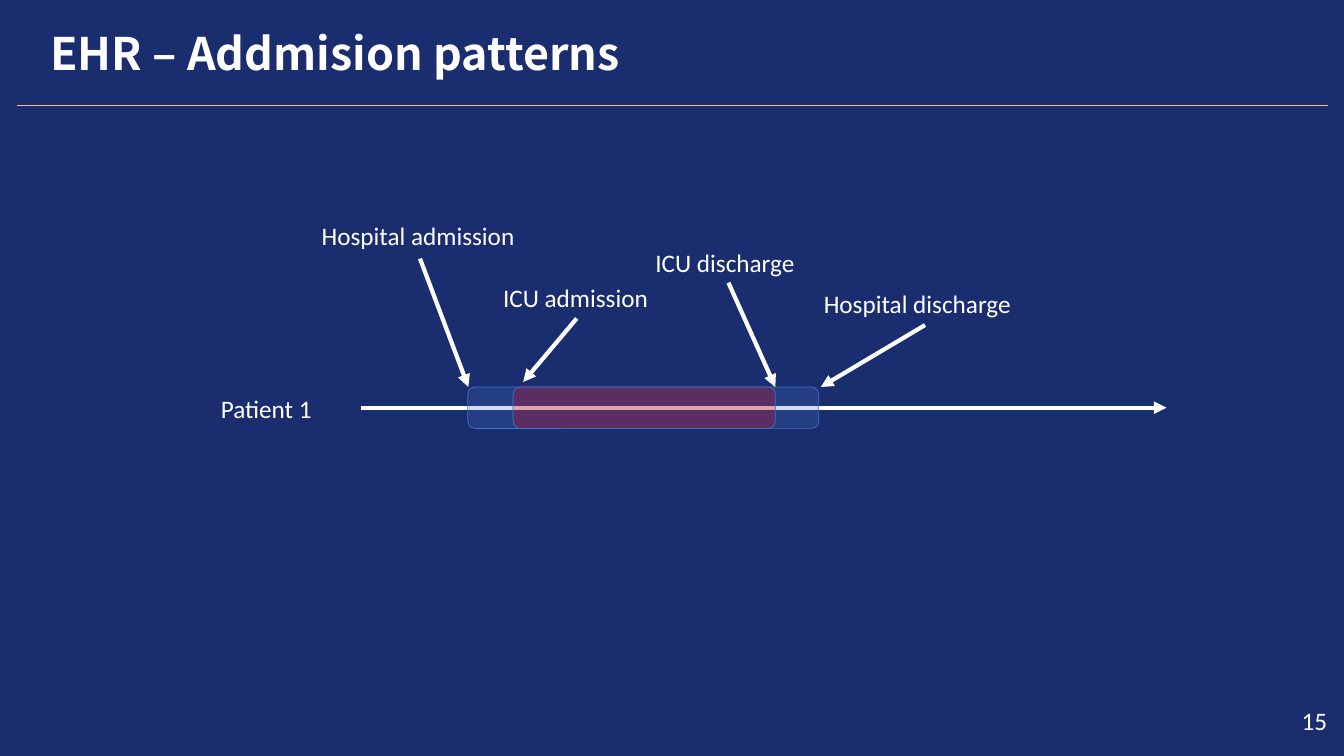
from dataclasses import dataclass

from lxml import etree
from pptx import Presentation
from pptx import util as u
from pptx.dml.color import RGBColor
from pptx.enum import shapes, text
from pptx.oxml import ns

WHITE, NAVY, GOLD = "FFFFFF", "1A2D6F", "FAC090"
BLUE, RED = "4471C4", "FF0000"
TOP, TALL = 51.2, 5.47  # stay bars, in percent of the slide height

deck = Presentation()
deck.slide_width, deck.slide_height = u.Inches(13.33), u.Inches(7.5)
slide = deck.slides.add_slide(deck.slide_layouts[5])


# Places are percentages of the slide's width and height
def col(x: float) -> int:
    return round(deck.slide_width * x / 100)


def row(y: float) -> int:
    return round(deck.slide_height * y / 100)


@dataclass
class Event:
    name: str
    left: float
    mid: float
    start: tuple[float, float]
    tip: tuple[float, float]


@dataclass
class Stay:
    start: float
    end: float
    color: str


def paint(form, color: str) -> None:
    """Colour a fill, a line's fill or a font."""
    if hasattr(form, "solid"):
        form.solid()
        form = form.fore_color
    else:
        form = form.color
    form.rgb = RGBColor.from_string(color)


def write(shape, words: str, font: str = "Calibri", size: float = 18,
          bold: bool = False, align=text.PP_ALIGN.LEFT) -> None:
    frame = shape.text_frame
    frame.word_wrap = True
    frame.auto_size = text.MSO_AUTO_SIZE.NONE
    frame.vertical_anchor = text.MSO_ANCHOR.MIDDLE
    frame.margin_left = frame.margin_right = 0
    frame.margin_top = frame.margin_bottom = 0
    para = frame.paragraphs[0]
    para.alignment = align
    run = para.add_run()
    run.text = words
    run.font.name, run.font.size, run.font.bold = font, u.Pt(size), bold
    paint(run.font.fill, WHITE)


def label(words: str, left: float, mid: float, wide: float = 15, **form) -> None:
    """Put one line of text around a middle height."""
    box = slide.shapes.add_textbox(col(left), row(mid - 2), col(wide), row(4))
    write(box, words, **form)


def line(start: tuple[float, float], end: tuple[float, float],
         color: str = WHITE, width: float = 3, head: bool = True) -> None:
    wire = slide.shapes.add_connector(
        shapes.MSO_CONNECTOR.STRAIGHT,
        col(start[0]), row(start[1]), col(end[0]), row(end[1]))
    wire.line.width = u.Pt(width)
    paint(wire.line.fill, color)
    if head:
        tail = etree.SubElement(wire.line._get_or_add_ln(), ns.qn("a:tailEnd"))
        tail.set("type", "triangle")
    etree.SubElement(wire._element.spPr, ns.qn("a:effectLst"))


def bar(stay: Stay) -> None:
    """Draw a translucent rounded span on the time line."""
    shape = slide.shapes.add_shape(
        shapes.MSO_SHAPE.ROUNDED_RECTANGLE, col(stay.start), row(TOP),
        col(stay.end - stay.start), row(TALL))
    shape.adjustments[0] = 0.17
    shape.shadow.inherit = False
    paint(shape.fill, stay.color)
    tint = shape._element.spPr.find(".//" + ns.qn("a:srgbClr"))
    etree.SubElement(tint, ns.qn("a:alpha")).set("val", "25000")
    paint(shape.line.fill, BLUE)
    shape.line.width = u.Pt(0.5)


EVENTS = [
    Event("Hospital admission", 23.93, 31.1, (31.25, 34.2), (34.85, TOP)),
    Event("ICU admission", 37.43, 39.3, (42.91, 42.13), (38.93, 50.53)),
    Event("ICU discharge", 48.76, 34.7, (54.2, 37.4), (57.69, TOP)),
    Event("Hospital discharge", 61.29, 40.2, (68.83, 43), (61.07, TOP)),
]
STAYS = [Stay(34.81, 60.92, BLUE), Stay(38.18, 57.69, RED)]


def main() -> None:
    # Background, title and page number
    paint(slide.background.fill, NAVY)
    title = slide.shapes.title
    title.left, title.top = col(3.75), row(3.33)
    title.width, title.height = col(68.1), row(7.33)
    write(title, "EHR – Addmision patterns",
          font="Noto Sans CJK KR", size=32, bold=True)
    line((1.28, 14), (98.8, 14), GOLD, 0.75, head=False)
    label("15", 96.25, 95.33, 2.5, align=text.PP_ALIGN.RIGHT)

    # Patient's time line and stays
    label("Patient 1", 16.43, 54, 8)
    line((26.86, 53.93), (86.8, 53.93))
    for stay in STAYS:
        bar(stay)

    # Events
    for event in EVENTS:
        label(event.name, event.left, event.mid)
        line(event.start, event.tip)

    deck.save("out.pptx")


if __name__ == "__main__":
    main()
